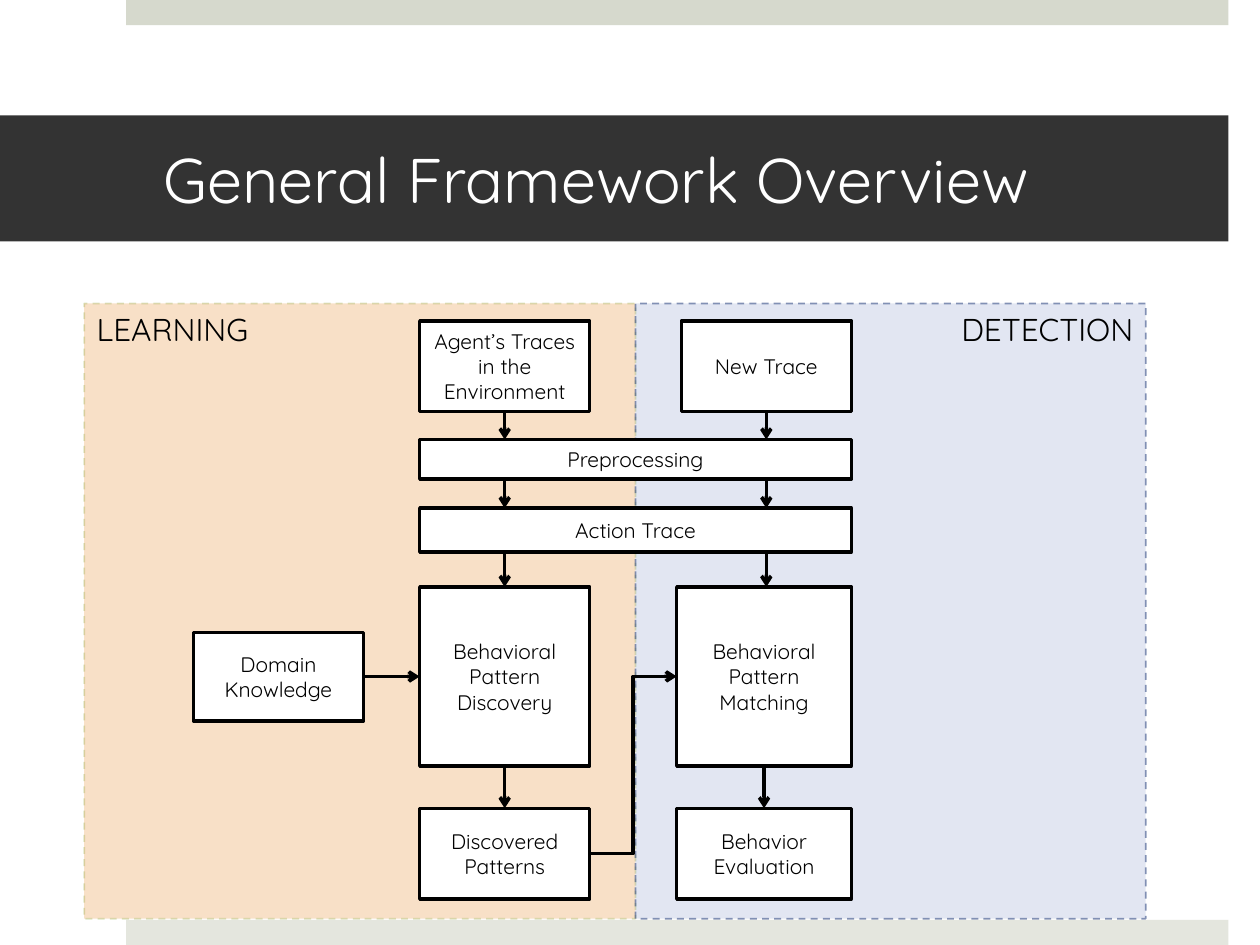
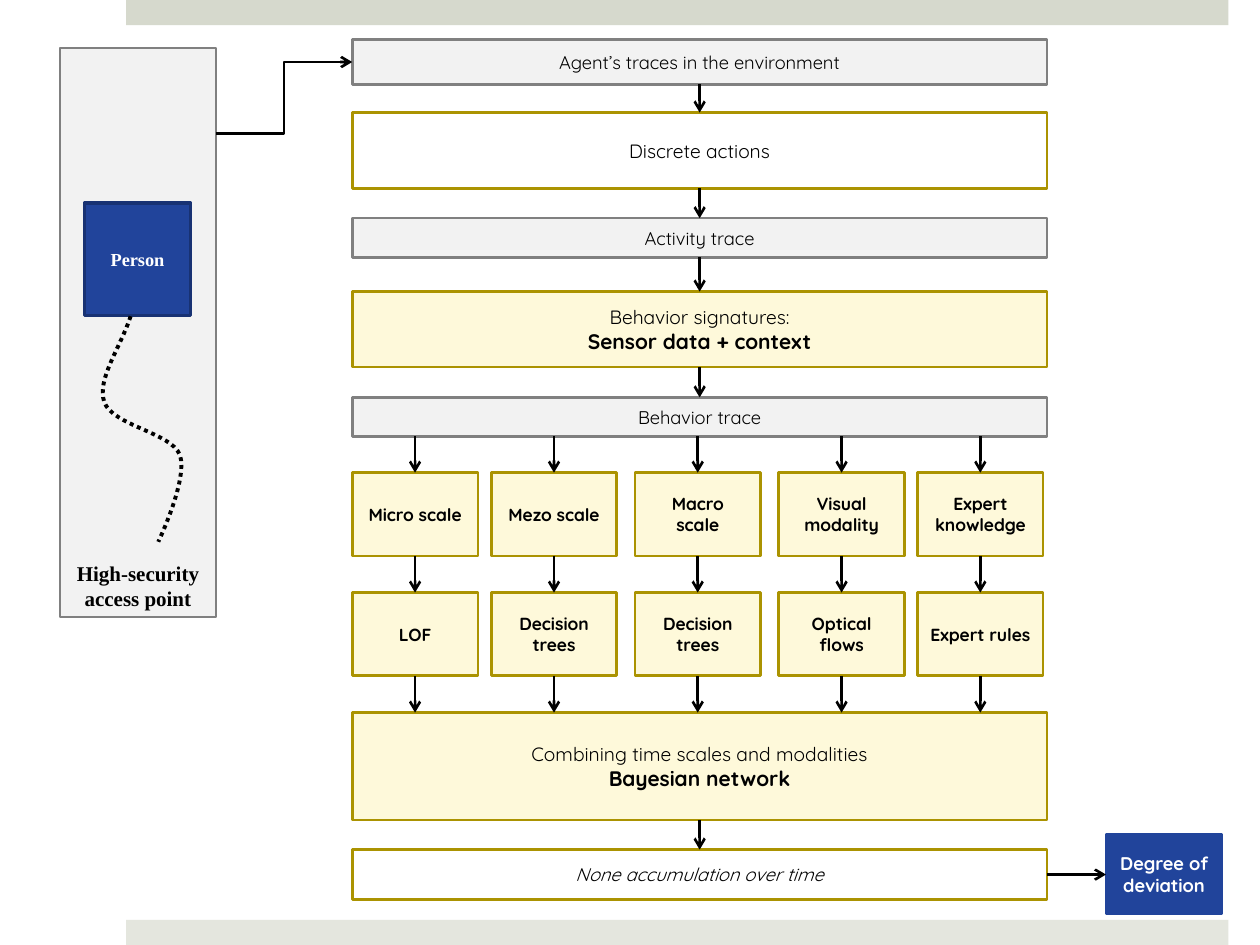
from itertools import pairwise
from typing import NamedTuple

from lxml.etree import SubElement
from pptx import Presentation
from pptx.dml.color import RGBColor
from pptx.enum.dml import MSO_LINE
from pptx.enum.shapes import MSO_CONNECTOR, MSO_SHAPE
from pptx.enum.text import MSO_ANCHOR, MSO_AUTO_SIZE, PP_ALIGN
from pptx.oxml.ns import qn
from pptx.util import Pt

COLORS = {
    "black": "000000", "white": "FFFFFF", "title": "333333",
    "top_band": "D6D9CD", "bottom_band": "E4E6DE",
    "orange": "E07602", "olive": "789410", "blue": "21449B", "navy": "183273",
    "light": "F2F2F2", "gray": "808080", "yellow": "FEE658", "gold": "AB9301",
}
SANS = "Quicksand"
SERIF = "Times New Roman"


class Box(NamedTuple):
    """A rectangle in points."""

    left: float
    top: float
    width: float
    height: float

    @property
    def right(self):
        """Return the right edge."""
        return self.left + self.width

    @property
    def bottom(self):
        """Return the bottom edge."""
        return self.top + self.height

    @property
    def center(self):
        """Return the horizontal centre."""
        return self.left + self.width / 2

    @property
    def middle(self):
        """Return the vertical centre."""
        return self.top + self.height / 2

    def inside(self, left, top, width, height):
        """Return a box whose position is relative to this one."""
        return Box(self.left + left, self.top + top, width, height)


def rgb(name):
    """Return the named colour."""
    return RGBColor.from_string(COLORS[name])


def set_alpha(parent, percent):
    """Make the solid fill directly under the element partly transparent."""
    color = parent.find(qn("a:solidFill"))[0]
    SubElement(color, qn("a:alpha"), val=str(percent * 1000))


def add_box(page, box, fill=None, line=None, weight=1.5, alpha=None):
    """Draw a rectangle with the given fill and outline."""
    shape = page.shapes.add_shape(MSO_SHAPE.RECTANGLE, *map(Pt, box))
    shape.shadow.inherit = False
    if fill:
        shape.fill.solid()
        shape.fill.fore_color.rgb = rgb(fill)
    else:
        shape.fill.background()
    if alpha:
        set_alpha(shape.element.spPr, alpha)
    if line:
        shape.line.color.rgb = rgb(line)
        shape.line.width = Pt(weight)
    else:
        shape.line.fill.background()
    return shape


def write(shape, lines, size, color="black", font=SANS, bold=False, italic=False,
          align=PP_ALIGN.CENTER, anchor=MSO_ANCHOR.MIDDLE):
    """Write one line, or a plain line followed by a larger bold one."""
    frame = shape.text_frame
    frame.word_wrap = True
    frame.vertical_anchor = anchor
    for index, text in enumerate(lines.split("|")):
        para = frame.add_paragraph() if index else frame.paragraphs[0]
        para.text = text
        para.alignment = align
        para.font.name = font
        para.font.size = Pt(size + index)
        para.font.bold = bold or index > 0
        para.font.italic = italic
        para.font.color.rgb = rgb(color)


def add_arrow(page, start, end, weight, kind=MSO_CONNECTOR.STRAIGHT):
    """Draw a black connector with an arrowhead at its end."""
    arrow = page.shapes.add_connector(kind, *map(Pt, (*start, *end)))
    arrow.line.color.rgb = rgb("black")
    arrow.line.width = Pt(weight)
    properties = arrow.element.spPr
    SubElement(properties.find(qn("a:ln")), qn("a:tailEnd"), type="arrow")
    SubElement(properties, qn("a:effectLst"))


def add_down_arrow(page, x, upper, lower, weight):
    """Draw a vertical arrow from the upper box to the lower one."""
    add_arrow(page, (x, upper.bottom), (x, lower.top), weight)


def add_page(deck, layout):
    """Add a page with the bands at its top and bottom."""
    page = deck.slides.add_slide(deck.slide_layouts[layout])
    add_box(page, Box(72, 0, 630, 14.4), "top_band")
    add_box(page, Box(72, 525.6, 630, 14.4), "bottom_band")
    return page


def format_title(page, box, text):
    """Place and format the title placeholder."""
    title = page.shapes.title
    title.left, title.top, title.width, title.height = map(Pt, box)
    title.fill.solid()
    title.fill.fore_color.rgb = rgb("title")
    write(title, text, 36, "white", align=PP_ALIGN.LEFT)
    frame = title.text_frame
    frame.auto_size = MSO_AUTO_SIZE.NONE
    frame.margin_left, frame.margin_right = Pt(93.6), Pt(21.6)
    frame.margin_top = frame.margin_bottom = Pt(3.6)


def draw_phases(page, box):
    """Draw the learning and detection panels."""
    split = 315
    phases = (
        ("LEARNING", 0, split, "orange", 22, "olive", 23, PP_ALIGN.LEFT),
        ("DETECTION", split, box.width - split, "blue", 13, "navy", 50, PP_ALIGN.RIGHT),
    )
    for name, left, width, fill, alpha, line, line_alpha, align in phases:
        panel = add_box(page, box.inside(left, 0, width, box.height), fill, line, 1, alpha)
        panel.line.dash_style = MSO_LINE.DASH
        set_alpha(panel.element.spPr.find(qn("a:ln")), line_alpha)
        write(panel, name, 18, align=align, anchor=MSO_ANCHOR.TOP)


def draw_framework(page, box):
    """Draw the steps that link learning to detection."""
    weight = 2
    steps = {
        "Agent’s Traces in the Environment": box.inside(191.7, 10, 97.2, 51.8),
        "New Trace": box.inside(341.2, 10, 97.2, 51.8),
        "Preprocessing": box.inside(191.7, 77.8, 246.7, 22.6),
        "Action Trace": box.inside(191.7, 117, 246.7, 25),
        "Behavioral Pattern Discovery": box.inside(191.7, 162, 97.2, 102.4),
        "Behavioral Pattern Matching": box.inside(338.6, 162, 99.8, 102.4),
        "Discovered Patterns": box.inside(191.7, 288.5, 97.2, 51.8),
        "Behavior Evaluation": box.inside(338.6, 288.5, 99.8, 51.8),
        "Domain Knowledge": box.inside(62.4, 188.2, 97.2, 50.4),
    }
    for name, place in steps.items():
        write(add_box(page, place, "white", "black", weight), name, 12)
    traces, new, preprocessing, action, discovery, matching, patterns, evaluation, domain = steps.values()
    for source, goal in ((traces, discovery), (new, matching)):
        for upper, lower in pairwise((source, preprocessing, action, goal)):
            add_down_arrow(page, source.center, upper, lower, weight)
    for upper, lower in ((discovery, patterns), (matching, evaluation)):
        add_down_arrow(page, upper.center, upper, lower, weight)
    add_arrow(page, (domain.right, discovery.middle), (discovery.left, discovery.middle), weight)
    add_arrow(page, (patterns.right, patterns.middle), (matching.left, matching.middle),
              weight, MSO_CONNECTOR.ELBOW)


def bezier(start, first, second, end, steps=16):
    """Return the points along a cubic curve after its start."""
    points = []
    for step in range(1, steps + 1):
        t = step / steps
        weights = ((1 - t) ** 3, 3 * t * (1 - t) ** 2, 3 * t ** 2 * (1 - t), t ** 3)
        points.append(tuple(sum(w * v for w, v in zip(weights, values))
                            for values in zip(start, first, second, end)))
    return points


def draw_access_point(page, box):
    """Draw the access point with a person and the trail walked."""
    area = add_box(page, box, "light", "gray")
    write(area, "High-security access point", 12, font=SERIF, bold=True, anchor=MSO_ANCHOR.BOTTOM)
    person = add_box(page, box.inside(14, 88.5, 60.5, 64.4), "blue", "navy", 2)
    write(person, "Person", 10.5, "white", SERIF, bold=True)
    knots = ((40.3, 153.3), (34.5, 171.3), (20.8, 189.3), (25.2, 202.3),
             (30.2, 216), (63.3, 219.6), (68.4, 232.5),
             (73.4, 246.2), (56.1, 282.2), (56.1, 282.2))
    points = [knots[0]]
    for index in range(0, len(knots) - 1, 3):
        points += bezier(*knots[index:index + 4])
    start, *rest = [(Pt(box.left + x), Pt(box.top + y)) for x, y in points]
    builder = page.shapes.build_freeform(*start)
    builder.add_line_segments(rest, close=False)
    trail = builder.convert_to_shape()
    trail.shadow.inherit = False
    trail.fill.background()
    trail.line.color.rgb = rgb("black")
    trail.line.width = Pt(2.25)
    trail.line.dash_style = MSO_LINE.ROUND_DOT


def draw_models(page, box, above, below):
    """Draw the columns of scales and their models between two steps."""
    columns = (
        (0, "Micro scale", "LOF"),
        (79.4, "Mezo scale", "Decision trees"),
        (161.5, "Macro\nscale", "Decision trees"),
        (243.7, "Visual modality", "Optical flows"),
        (323, "Expert knowledge", "Expert rules"),
    )
    width, height = 71.8, 47.6
    for left, *names in columns:
        scale = box.inside(left, 0, width, height)
        model = box.inside(left, box.height - height, width, height)
        for name, place in zip(names, (scale, model)):
            write(add_box(page, place, "yellow", "gold", alpha=22), name, 10, bold=True)
        for upper, lower in pairwise((above, scale, model, below)):
            add_down_arrow(page, scale.center, upper, lower, 1.5)


def draw_pipeline(page, box):
    """Draw the steps from traces to accumulation and return the first and last."""
    trace = {"fill": "light", "line": "gray"}
    method = {"fill": "yellow", "line": "gold", "alpha": 22}
    plain = {"line": "gold"}
    rows = (
        (0, 25.7, "Agent’s traces in the environment", 10.5, trace),
        (41.7, 43.3, "Discrete actions", 11, plain),
        (102.1, 22.4, "Activity trace", 10.5, trace),
        (144, 43.2, "Behavior signatures:|Sensor data + context", 11, method),
        (204.5, 22.3, "Behavior trace", 10.5, trace),
        (384.6, 61.3, "Combining time scales and modalities|Bayesian network", 11, method),
        (462.9, 28.5, "None accumulation over time", 10.5, plain),
    )
    places = []
    for top, height, text, size, style in rows:
        place = box.inside(0, top, box.width, height)
        italic = text.startswith("None")
        write(add_box(page, place, **style), text, size, italic=italic)
        places.append(place)
    for upper, lower in (*pairwise(places[:5]), *pairwise(places[5:])):
        add_down_arrow(page, box.center, upper, lower, 1.5)
    draw_models(page, box.inside(0, 247.5, box.width, 116.1), places[4], places[5])
    return places[0], places[-1]


def build_overview(deck):
    """Build the page with the general framework."""
    page = add_page(deck, 5)
    format_title(page, Box(0, 66, 702, 72), "General Framework Overview")
    frame = Box(48.1, 173.4, 606.6, 351.6)
    draw_phases(page, frame)
    draw_framework(page, frame)


def build_instance(deck):
    """Build the page with the access point pipeline."""
    page = add_page(deck, 6)
    access = Box(34.4, 27.4, 89, 325.2)
    draw_access_point(page, access)
    traces, accumulation = draw_pipeline(page, Box(201.3, 22.6, 397, 491.4))
    add_arrow(page, (access.right, 76.3), (traces.left, traces.middle), 1.5, MSO_CONNECTOR.ELBOW)
    degree = Box(632, 476.7, 66.4, 45.5)
    write(add_box(page, degree, "blue", "blue"), "Degree of deviation", 10.5, "white", bold=True)
    add_arrow(page, (accumulation.right, accumulation.middle), (degree.left, accumulation.middle), 1.5)


def main():
    """Build and save the deck."""
    deck = Presentation()
    deck.slide_width, deck.slide_height = Pt(720), Pt(540)
    build_overview(deck)
    build_instance(deck)
    deck.save("out.pptx")


if __name__ == "__main__":
    main()
